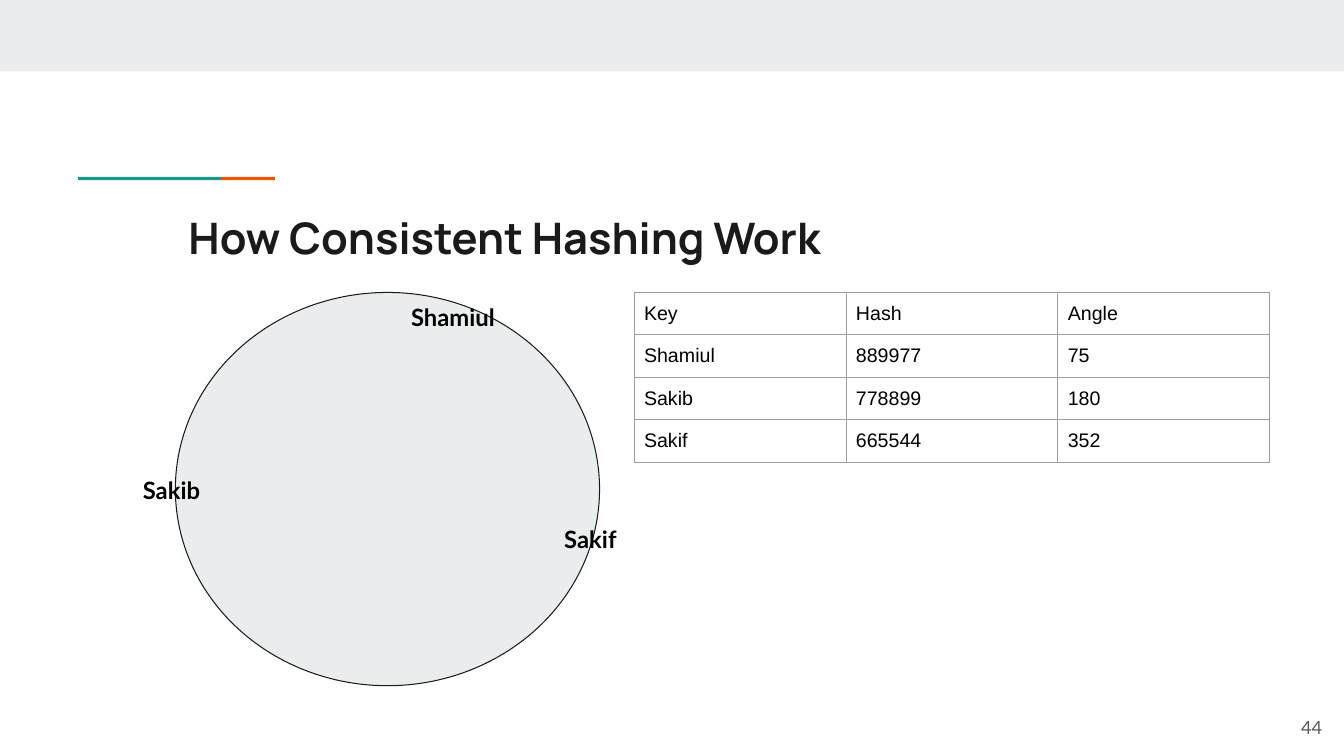
from pptx import Presentation
from pptx.dml.color import RGBColor
from pptx.enum.shapes import MSO_SHAPE
from pptx.enum.text import MSO_ANCHOR, MSO_AUTO_SIZE, PP_ALIGN
from pptx.oxml import parse_xml
from pptx.oxml.ns import nsdecls
from pptx.util import Cm, Pt

RECT, OVAL = MSO_SHAPE.RECTANGLE, MSO_SHAPE.OVAL
TOP, MIDDLE = MSO_ANCHOR.TOP, MSO_ANCHOR.MIDDLE
LEFT, RIGHT = PP_ALIGN.LEFT, PP_ALIGN.RIGHT
FIXED = MSO_AUTO_SIZE.NONE

PALE = RGBColor(0xE9, 0xED, 0xEE)
TEAL = RGBColor(0x1A, 0x99, 0x88)
ORANGE = RGBColor(0xEB, 0x56, 0x00)
INK = RGBColor(0x1A, 0x1A, 0x1A)
GREY = RGBColor(0x59, 0x59, 0x59)
BLACK = RGBColor(0, 0, 0)
RULE = "9E9E9E"

WIDTH, HEIGHT = 33.87, 19.05
PAD = 0.25

# Key names with their label offsets from the ring's corner
LABELS = [("Shamiul", 5.69, 0), ("Sakib", -1.07, 4.37), ("Sakif", 9.55, 5.59)]
ROWS = [
    ("Key", "Hash", "Angle"),
    ("Shamiul", "889977", "75"),
    ("Sakib", "778899", "180"),
    ("Sakif", "665544", "352"),
]


def add_form(slide, kind, x, y, w, h, fill):
    form = slide.shapes.add_shape(kind, Cm(x), Cm(y), Cm(w), Cm(h))
    form.shadow.inherit = False
    form.fill.solid()
    form.fill.fore_color.rgb = fill
    form.line.fill.background()
    return form


def set_text(frame, text, font, size, color, bold=False, pad=PAD,
             align=LEFT, anchor=TOP):
    frame.text = text
    frame.word_wrap = True
    frame.auto_size = FIXED
    frame.vertical_anchor = anchor
    frame.margin_left = frame.margin_right = Cm(pad)
    frame.margin_top = frame.margin_bottom = Cm(pad)
    para = frame.paragraphs[0]
    para.alignment = align
    style = para.runs[0].font
    style.name, style.size, style.bold = font, Pt(size), bold
    style.color.rgb = color


def add_label(slide, text, x, y, w, h, *look, **more):
    box = slide.shapes.add_textbox(Cm(x), Cm(y), Cm(w), Cm(h))
    set_text(box.text_frame, text, *look, **more)


def add_frame(slide):
    # Top band and two-colour accent line
    add_form(slide, RECT, 0, 0, WIDTH, 1.8, PALE)
    add_form(slide, RECT, 1.97, 4.46, 3.6, 0.08, TEAL)
    add_form(slide, RECT, 5.57, 4.46, 1.36, 0.08, ORANGE)
    # Page number
    add_label(slide, "44", 31.62, 17.6, 2.03, 1.45, "Lato", 13, GREY,
              pad=0.33, align=RIGHT, anchor=MIDDLE)


def add_title(slide, x, y, w, h):
    title = slide.shapes.title
    title.left, title.top, title.width, title.height = Cm(x), Cm(y), Cm(w), Cm(h)
    set_text(title.text_frame, "How Consistent Hashing Work", "Manrope", 31,
             INK, bold=True, pad=0.33)


def add_ring(slide, x, y, w, h):
    ring = add_form(slide, OVAL, x, y, w, h, PALE)
    ring.line.color.rgb = INK
    ring.line.width = Pt(0.75)
    for name, dx, dy in LABELS:
        add_label(slide, name, x + dx, y + dy, 2.7, 1.17, "Lato", 17, BLACK,
                  bold=True)


def add_borders(cell):
    props = cell._tc.get_or_add_tcPr()
    for side in ("lnL", "lnR", "lnT", "lnB"):
        props.append(parse_xml(
            f'<a:{side} {nsdecls("a")} w="{Pt(0.75)}"><a:solidFill>'
            f'<a:srgbClr val="{RULE}"/></a:solidFill></a:{side}>'))


def add_grid(slide, x, y, w, h):
    shape = slide.shapes.add_table(len(ROWS), len(ROWS[0]),
                                   Cm(x), Cm(y), Cm(w), Cm(h))
    table = shape.table
    table.first_row = table.horz_banding = False
    for r, row in enumerate(ROWS):
        for c, text in enumerate(row):
            cell = table.cell(r, c)
            cell.text = text
            cell.margin_left = cell.margin_right = Cm(PAD)
            cell.margin_top = cell.margin_bottom = Cm(PAD)
            font = cell.text_frame.paragraphs[0].runs[0].font
            font.name, font.size = "Arial", Pt(14)
            font.color.rgb = BLACK
            add_borders(cell)
            cell.fill.background()


def main():
    deck = Presentation()
    deck.slide_width, deck.slide_height = Cm(WIDTH), Cm(HEIGHT)
    slide = deck.slides.add_slide(deck.slide_layouts[5])
    add_frame(slide)
    add_title(slide, 4.42, 4.98, 28.47, 1.98)
    add_ring(slide, 4.42, 7.37, 10.69, 9.91)
    add_grid(slide, 15.98, 7.37, 16.02, 4.28)
    deck.save("out.pptx")


if __name__ == "__main__":
    main()
